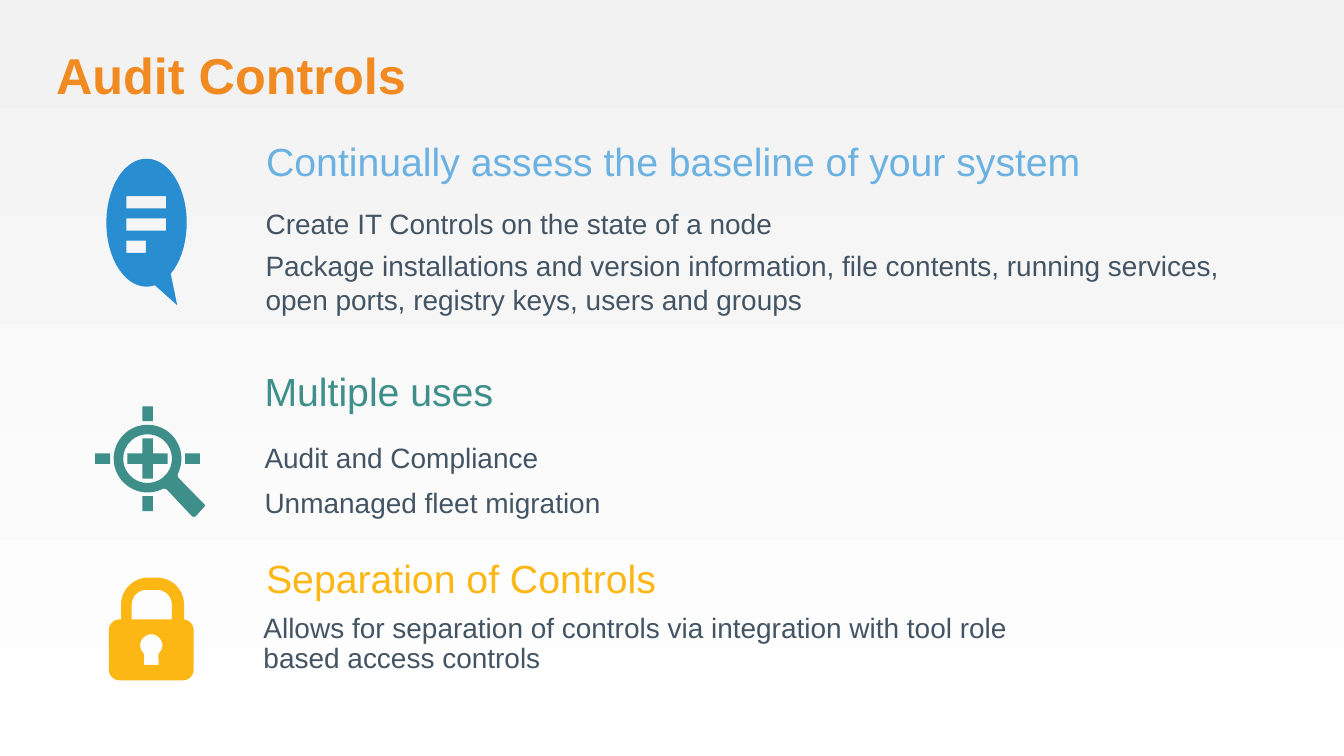
import math
from dataclasses import dataclass
from typing import Optional

import pptx
import pptx.dml.color
import pptx.enum.shapes
import pptx.enum.text
import pptx.util

Cm = pptx.util.Cm
Pt = pptx.util.Pt
Spot = tuple[float, float]
Path = list[Spot]


@dataclass(frozen=True)
class Theme:
    font: str = "Arial"
    title: str = "F18B21"
    text: str = "435464"
    blue: str = "298DD1"
    sky: str = "6BB2E2"
    teal: str = "3E8F8A"
    gold: str = "FDB714"
    fade: tuple[str, str] = ("F2F2F2", "FFFFFF")
    big: float = 27
    mid: float = 21
    small: float = 15


@dataclass(frozen=True)
class Block:
    lines: list[str]
    box: tuple[float, float, float, float]
    color: str
    size: float
    pad: tuple[float, float, float, float] = (0.25, 0.13, 0.25, 0.13)
    after: float = 0
    lead: Optional[float] = None
    mid: bool = False
    bold: bool = False


@dataclass(frozen=True)
class Icon:
    paths: list[Path]
    color: str


THEME = Theme()
DEEP = (0.25, 0.51, 0.25, 0.13)
FLUSH = (0, 0, 0, 0)


def rgb(code: str) -> pptx.dml.color.RGBColor:
    return pptx.dml.color.RGBColor.from_string(code)


def arc(x: float, y: float, wide: float, high: float, start: int, end: int) -> Path:
    count = max(8, (end - start) // 6)
    turns = [math.radians(start + (end - start) * i / count) for i in range(count + 1)]
    return [(x + wide * math.cos(t), y + high * math.sin(t)) for t in turns]


def bar(x: float, y: float, wide: float, high: float) -> Path:
    return [(x, y), (x + wide, y), (x + wide, y + high), (x, y + high)]


def arch(left: float, right: float, y: float, rad: float, base: float) -> Path:
    return [(left, base), *arc(left + rad, y, rad, rad, 180, 270),
            *arc(right - rad, y, rad, rad, 270, 360), (right, base)]


def bubble() -> list[Path]:
    body = arc(2.77, 4.21, 0.76, 1.21, 78, 413) + [(3.35, 5.77)]
    return [body] + [bar(2.39, 3.71 + 0.42 * i, wide, 0.23)
                     for i, wide in enumerate((0.75, 0.75, 0.37))]


def lens() -> list[Path]:
    x, y = 2.79, 8.67
    half, arm, near, far = 0.1, 0.38, 0.71, 0.99
    grip = [(0.58, 0.36), (1.07, 0.86), (1.09, 0.89), (1.07, 0.91),
            (0.91, 1.09), (0.87, 1.1), (0.84, 1.09), (0.36, 0.58)]
    ring = arc(x, y, 0.64, 0.64, 62, 388) + [(x + dx, y + dy) for dx, dy in grip]
    arms = [(half, half), (half, arm), (-half, arm)]
    plus, ticks = [], []
    for c, s in ((1, 0), (0, 1), (-1, 0), (0, -1)):
        plus += [(x + c * a - s * b, y + s * a + c * b) for a, b in arms]
        tick = bar(near, -half, far - near, 2 * half)
        ticks.append([(x + c * a - s * b, y + s * a + c * b) for a, b in tick])
    return [ring, arc(x, y, 0.46, 0.46, 0, 360), plus, *ticks]


def lock() -> list[Path]:
    left, right, top, base, rad = 2.06, 3.66, 11.71, 12.86, 0.2
    body = [*arc(left + rad, top + rad, rad, rad, 180, 270),
            *arch(2.29, 3.48, 11.43, 0.51, top),
            *arc(right - rad, top + rad, rad, rad, 270, 360),
            *arc(right - rad, base - rad, rad, rad, 0, 90),
            *arc(left + rad, base - rad, rad, rad, 90, 180)]
    hole = arc(2.86, 12.2, 0.21, 0.21, 130, 410) + [(3, 12.57), (2.72, 12.57)]
    return [body, arch(2.49, 3.25, 11.43, 0.28, top), hole]


def fade(fill) -> None:
    fill.gradient()
    fill.gradient_angle = 270
    for stop, code in zip(fill.gradient_stops, THEME.fade):
        stop.color.rgb = rgb(code)


def draw(shapes, icon: Icon) -> None:
    pen = None
    for path in icon.paths:
        spots = [(Cm(x), Cm(y)) for x, y in path]
        if pen is None:
            pen = shapes.build_freeform(*spots[0])
        else:
            pen.move_to(*spots[0])
        pen.add_line_segments(spots[1:], close=True)
    shape = pen.convert_to_shape()
    shape.shadow.inherit = False
    shape.fill.solid()
    shape.fill.fore_color.rgb = rgb(icon.color)
    shape.line.fill.background()


def write(shape, block: Block) -> None:
    shape.left, shape.top, shape.width, shape.height = map(Cm, block.box)
    frame = shape.text_frame
    frame.word_wrap = True
    frame.auto_size = pptx.enum.text.MSO_AUTO_SIZE.NONE
    (frame.margin_left, frame.margin_top,
     frame.margin_right, frame.margin_bottom) = map(Cm, block.pad)
    anchor = pptx.enum.text.MSO_ANCHOR
    frame.vertical_anchor = anchor.MIDDLE if block.mid else anchor.TOP
    frame.text = "\n".join(block.lines)
    for para in frame.paragraphs:
        para.alignment = pptx.enum.text.PP_ALIGN.LEFT
        para.space_after = Pt(block.after)
        if block.lead:
            para.line_spacing = block.lead
        font = para.font
        font.name, font.size, font.bold = THEME.font, Pt(block.size), block.bold
        font.color.rgb = rgb(block.color)


def head(text: str, box: tuple[float, float, float, float], color: str) -> Block:
    return Block([text], box, color, THEME.mid, after=9, lead=0.9, mid=True)


TITLE = Block(["Audit Controls"], (1.06, 0.97, 23.29, 1.07), THEME.title,
              THEME.big, FLUSH, lead=0.9, bold=True)
BLOCKS = [
    head("Continually assess the baseline of your system",
         (4.78, 1.94, 19.61, 2.31), THEME.sky),
    Block(["Create IT Controls on the state of a node",
           "Package installations and version information, file contents, "
           "running services, open ports, registry keys, users and groups"],
          (4.77, 3.4, 18.54, 2.97), THEME.text, THEME.small, DEEP, after=4.5),
    head("Multiple uses", (4.75, 6.71, 19.61, 1.47), THEME.teal),
    Block(["Audit and Compliance", "Unmanaged fleet migration"],
          (4.75, 7.82, 19.18, 2.77), THEME.text, THEME.small, DEEP, after=6),
    head("Separation of Controls", (4.78, 10.24, 19.48, 1.47), THEME.gold),
    Block(["Allows for separation of controls via integration with tool role "
           "based access controls"],
          (4.98, 11.61, 15.49, 0.94), THEME.text, THEME.small, FLUSH, lead=0.9),
]
ICONS = [Icon(bubble(), THEME.blue), Icon(lens(), THEME.teal),
         Icon(lock(), THEME.gold)]


def main() -> None:
    deck = pptx.Presentation()
    deck.slide_width, deck.slide_height = Cm(25.4), Cm(14.29)
    slide = deck.slides.add_slide(deck.slide_layouts[5])
    fade(slide.background.fill)
    write(slide.shapes.title, TITLE)
    for block in BLOCKS:
        write(slide.shapes.add_textbox(0, 0, 0, 0), block)
    for icon in ICONS:
        draw(slide.shapes, icon)
    deck.save("out.pptx")


if __name__ == "__main__":
    main()
